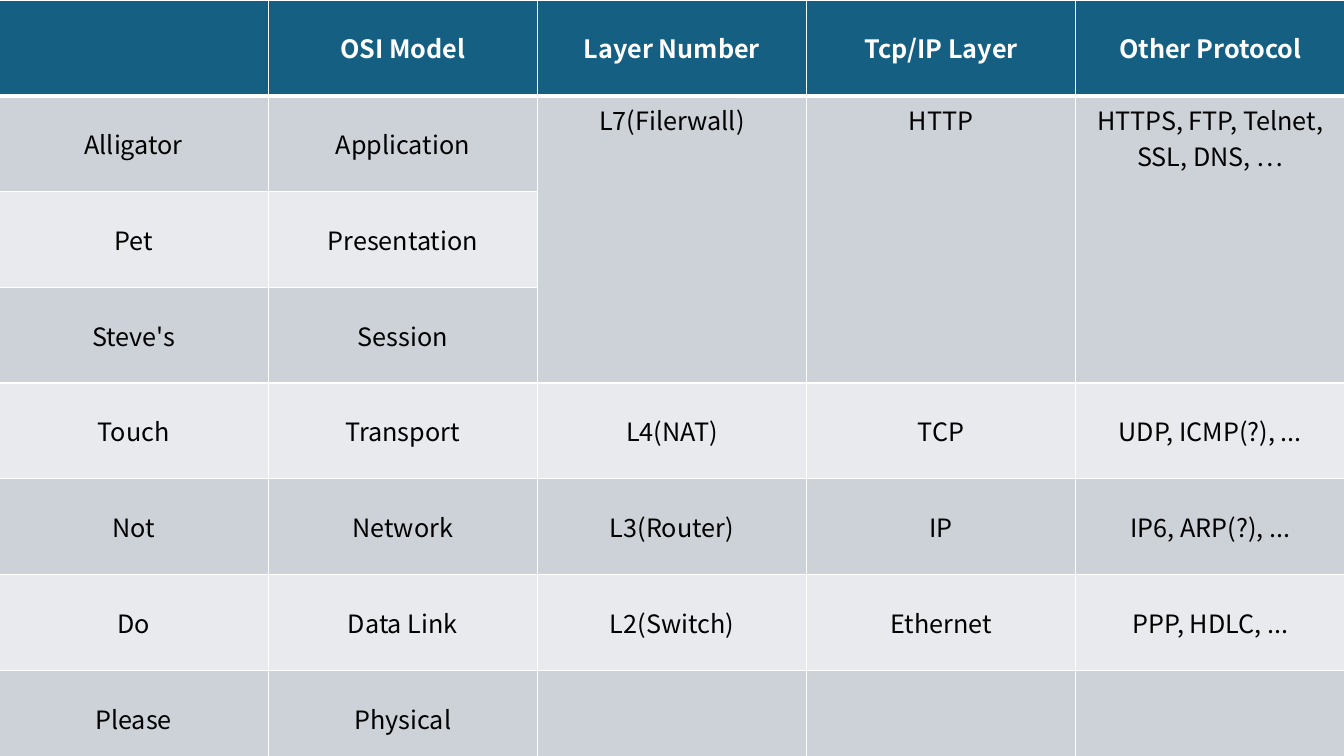
"""Build the OSI layer table slide."""
import dataclasses

import lxml.etree
import pptx
import pptx.dml.color
import pptx.enum.text
import pptx.oxml.ns
import pptx.util

SCALE = 9144
COL, ROW = 267, 95
FONT = "Noto Sans CJK KR"
WHITE, BLACK = "FFFFFF", "000000"
MERGED = range(2, 5)


@dataclasses.dataclass(frozen=True)
class Style:
    fill: str
    ink: str
    bold: bool
    top: int = 1
    base: int = 1


@dataclasses.dataclass(frozen=True)
class Row:
    style: Style
    words: tuple[str, ...]


HEAD = Style("156082", WHITE, True, base=3)
FIRST = Style("CCD2D8", BLACK, False, top=3)
DARK = Style("CCD2D8", BLACK, False)
LIGHT = Style("E8EAED", BLACK, False)

ROWS = (
    Row(HEAD, ("", "OSI Model", "Layer Number", "Tcp/IP Layer", "Other Protocol")),
    Row(FIRST, ("Alligator", "Application", "L7(Filerwall)", "HTTP",
                "HTTPS, FTP, Telnet, SSL, DNS, …")),
    Row(LIGHT, ("Pet", "Presentation", "", "", "")),
    Row(DARK, ("Steve's", "Session", "", "", "")),
    Row(LIGHT, ("Touch", "Transport", "L4(NAT)", "TCP", "UDP, ICMP(?), ...")),
    Row(DARK, ("Not", "Network", "L3(Router)", "IP", "IP6, ARP(?), ...")),
    Row(LIGHT, ("Do", "Data Link", "L2(Switch)", "Ethernet", "PPP, HDLC, ...")),
    Row(DARK, ("Please", "Physical", "", "", "")),
)


def px(count: int) -> int:
    return pptx.util.Emu(count * SCALE)


def color(code: str) -> pptx.dml.color.RGBColor:
    return pptx.dml.color.RGBColor.from_string(code)


def border(cell, side: str, width: int) -> None:
    name = pptx.oxml.ns.qn
    line = lxml.etree.SubElement(
        cell._tc.get_or_add_tcPr(), name(f"a:ln{side}"),
        w=str(pptx.util.Pt(width)))
    fill = lxml.etree.SubElement(line, name("a:solidFill"))
    lxml.etree.SubElement(fill, name("a:srgbClr"), val=WHITE)


def paint(cell, text: str, style: Style) -> None:
    widths = {"L": 1, "R": 1, "T": style.top, "B": style.base}
    for side, width in widths.items():
        border(cell, side, width)
    cell.fill.solid()
    cell.fill.fore_color.rgb = color(style.fill)
    if not cell.is_merge_origin:
        cell.vertical_anchor = pptx.enum.text.MSO_ANCHOR.MIDDLE
    if text:
        para = cell.text_frame.paragraphs[0]
        para.alignment = pptx.enum.text.PP_ALIGN.CENTER
        run = para.add_run()
        run.text = text
        run.font.name = FONT
        run.font.size = pptx.util.Pt(18)
        run.font.bold = style.bold
        run.font.color.rgb = color(style.ink)


def main() -> None:
    deck = pptx.Presentation()
    deck.slide_width, deck.slide_height = px(1333), px(750)
    slide = deck.slides.add_slide(deck.slide_layouts[6])
    cols = len(ROWS[0].words)
    table = slide.shapes.add_table(
        len(ROWS), cols, px(-1), px(0),
        px(COL * cols), px(ROW * len(ROWS))).table
    for col in MERGED:
        table.cell(1, col).merge(table.cell(3, col))
    for r, row in enumerate(ROWS):
        for c, text in enumerate(row.words):
            paint(table.cell(r, c), text, row.style)
    deck.save("out.pptx")


if __name__ == "__main__":
    main()
